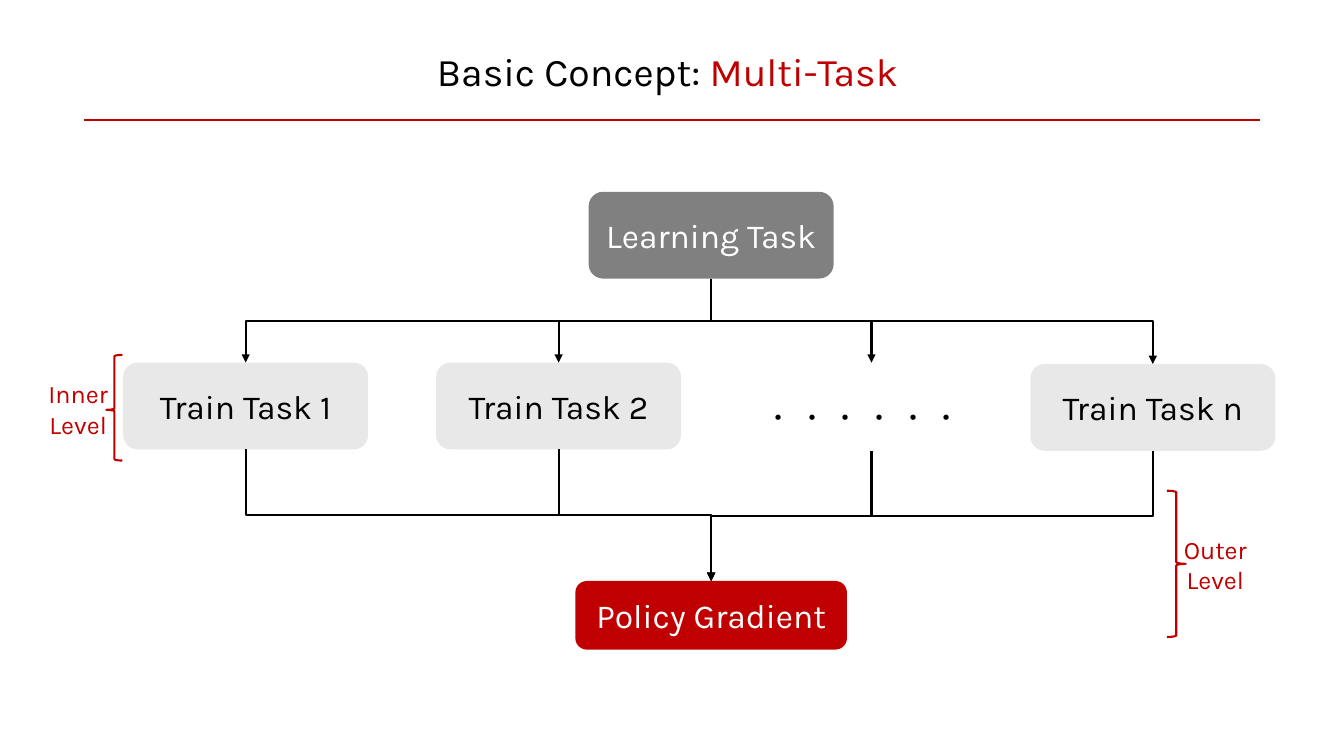
from lxml import etree
from pptx import Presentation
from pptx.dml.color import RGBColor
from pptx.enum.shapes import MSO_CONNECTOR as Connector, MSO_SHAPE as Shape
from pptx.enum.text import MSO_ANCHOR as Anchor, MSO_AUTO_SIZE as AutoSize, PP_ALIGN as Align
from pptx.oxml.ns import qn
from pptx.util import Pt

FONT = "Karla"
BLACK = RGBColor(0x00, 0x00, 0x00)
WHITE = RGBColor(0xFF, 0xFF, 0xFF)
RED = RGBColor(0xC0, 0x00, 0x00)
GRAY = RGBColor(0x80, 0x80, 0x80)
LIGHT_GRAY = RGBColor(0xE8, 0xE8, 0xE8)

TOP, BOTTOM = 0, 2  # connection sites


def format_run(run, size, color):
    run.font.name = FONT
    run.font.size = Pt(size)
    run.font.color.rgb = color


def style_line(connector, color):
    connector.line.color.rgb = color
    connector.line.width = Pt(1.5)
    etree.SubElement(connector._element.spPr, qn("a:effectLst"))


def add_title(slide, left, top, width, height):
    """Two-coloured title with a rule below it."""
    title = slide.shapes.title
    title.left, title.top, title.width, title.height = map(Pt, (left, top, width, height))
    frame = title.text_frame
    frame.auto_size = AutoSize.NONE
    frame.vertical_anchor = Anchor.TOP
    paragraph = frame.paragraphs[0]
    paragraph.alignment = Align.CENTER
    for text, color in (("Basic Concept: ", BLACK), ("Multi-Task ", RED)):
        run = paragraph.add_run()
        run.text = text
        format_run(run, 28, color)
    rule_y = Pt(top + height + 14.5)
    rule = slide.shapes.add_connector(Connector.STRAIGHT, Pt(60), rule_y, Pt(900), rule_y)
    style_line(rule, RED)


def add_box(slide, text, left, top, width, height, fill, color):
    box = slide.shapes.add_shape(Shape.ROUNDED_RECTANGLE, *map(Pt, (left, top, width, height)))
    box.shadow.inherit = False
    box.line.fill.background()
    if fill is None:
        box.fill.background()
    else:
        box.fill.solid()
        box.fill.fore_color.rgb = fill
    frame = box.text_frame
    frame.text = text
    frame.vertical_anchor = Anchor.MIDDLE
    frame.paragraphs[0].alignment = Align.CENTER
    format_run(frame.paragraphs[0].runs[0], 24, color)
    return box


def add_elbow_arrow(slide, upper, lower):
    """Arrow that runs down, across and down from one box to another."""
    start_x, start_y = upper.left + upper.width // 2, upper.top + upper.height
    end_x, end_y = lower.left + lower.width // 2, lower.top
    arrow = slide.shapes.add_connector(Connector.ELBOW, start_x, start_y, end_x, end_y)
    arrow.begin_connect(upper, BOTTOM)
    arrow.end_connect(lower, TOP)

    # Turn the frame a quarter so that both ends are vertical
    drop, span = end_y - start_y, abs(end_x - start_x)
    arrow.left = (start_x + end_x - drop) // 2
    arrow.top = (start_y + end_y - span) // 2
    arrow.width, arrow.height = drop, span
    frame = arrow._element.spPr.find(qn("a:xfrm"))
    frame.attrib.pop("flipH", None)
    if end_x > start_x:
        frame.set("rot", "16200000")
        frame.set("flipH", "1")
    else:
        frame.set("rot", "5400000")

    style_line(arrow, BLACK)
    etree.SubElement(arrow.line._get_or_add_ln(), qn("a:tailEnd"), type="triangle")


def add_task_tree(slide, left, top):
    """Learning task, the row of train tasks, and the policy gradient."""
    width, height, step = 175, 62, 223.5
    row = top + 122
    learning = add_box(slide, "Learning Task", left + 332.5, top, width, height, GRAY, WHITE)
    policy = add_box(slide, "Policy Gradient", left + 323, top + 278, 194, 49, RED, WHITE)
    tasks = [
        add_box(slide, text, left + x, row + dy, width, height + extra, fill, BLACK)
        for text, x, dy, extra, fill in (
            ("Train Task 1", 0, 0, 0, LIGHT_GRAY),
            ("Train Task 2", step, 0, 0, LIGHT_GRAY),
            ("．．．．．．", 2 * step, 0, 1, None),
            ("Train Task n", 648, 1, 0, LIGHT_GRAY),
        )
    ]
    for task in tasks:
        add_elbow_arrow(slide, learning, task)
        add_elbow_arrow(slide, task, policy)


def add_level(slide, kind, brace_box, middle, words, left, top):
    """Brace with a two-line label beside it."""
    brace = slide.shapes.add_shape(kind, *map(Pt, brace_box))
    brace.shadow.inherit = False
    brace.fill.background()
    brace.line.color.rgb = RED
    brace.line.width = Pt(1.5)
    brace.adjustments[0] = 0.083
    brace.adjustments[1] = middle

    label = slide.shapes.add_textbox(Pt(left), Pt(top), Pt(62), Pt(51))
    frame = label.text_frame
    frame.word_wrap = False
    frame.auto_size = AutoSize.SHAPE_TO_FIT_TEXT
    frame.text = "\n".join(words)
    for paragraph, alignment in zip(frame.paragraphs, (Align.LEFT, Align.CENTER)):
        paragraph.alignment = alignment
        format_run(paragraph.runs[0], 18, RED)


def main():
    presentation = Presentation()
    presentation.slide_width, presentation.slide_height = Pt(960), Pt(540)
    slide = presentation.slides.add_slide(presentation.slide_layouts[5])
    add_title(slide, 117, 30, 726, 41)
    add_task_tree(slide, 88, 137)
    add_level(slide, Shape.LEFT_BRACE, (76, 253.5, 11.5, 75.5), 0.52,
              ("Inner", "Level"), 27.5, 267)
    add_level(slide, Shape.RIGHT_BRACE, (833.5, 350.5, 13.5, 104.5), 0.5,
              ("Outer", "Level"), 838.5, 378)
    presentation.save("out.pptx")


if __name__ == "__main__":
    main()
